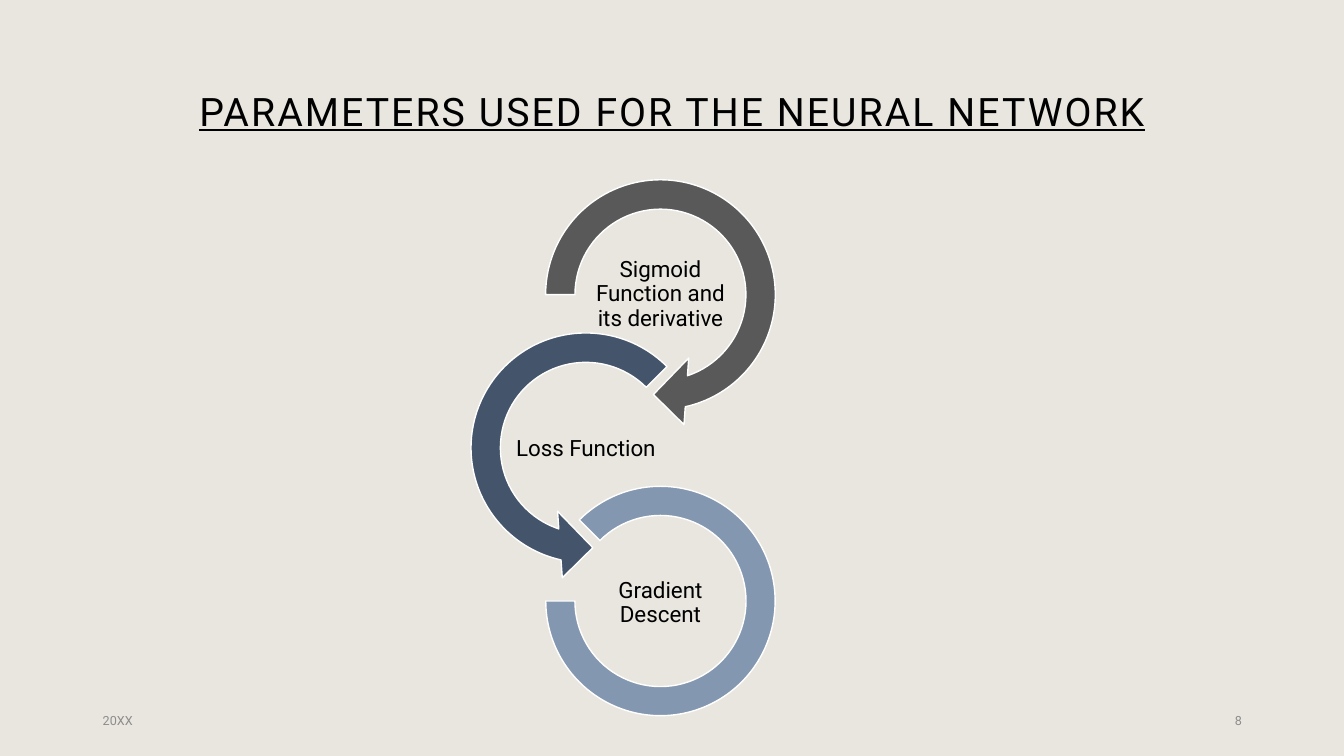
from dataclasses import dataclass

from pptx import Presentation
from pptx.dml.color import RGBColor
from pptx.enum.shapes import MSO_SHAPE
from pptx.enum.text import MSO_ANCHOR, PP_ALIGN
from pptx.util import Cm, Pt

LEFT, CENTER, RIGHT = PP_ALIGN.LEFT, PP_ALIGN.CENTER, PP_ALIGN.RIGHT
MIDDLE = MSO_ANCHOR.MIDDLE


@dataclass(frozen=True)
class Theme:
    font: str = "Roboto"
    background: str = "E9E6DF"
    text: str = "000000"
    footer: str = "8C8C8C"
    outline: str = "FFFFFF"
    title_size: int = 28
    label_size: int = 16
    footer_size: int = 9


THEME = Theme()

# Label, preset shape, adjustments, fill, diameter in cm
STEPS = [
    ("Sigmoid Function and its derivative", MSO_SHAPE.CIRCULAR_ARROW,
     (0.11, 11.423, 45, 108, 0.125), "595959", 6.73),
    ("Loss Function", MSO_SHAPE.LEFT_CIRCULAR_ARROW,
     (0.11, 11.423, 63, 189, 0.125), "44546A", 6.73),
    ("Gradient Descent", MSO_SHAPE.BLOCK_ARC,
     (135, 108, 0.127), "8497B0", 5.78),
]


def color(value):
    return RGBColor.from_string(value)


def add_text(shapes, box, text, size, text_color, align, inset=None):
    """Add a vertically centred text box; box is left, top, width, height in cm."""
    text_box = shapes.add_textbox(*(Cm(length) for length in box))
    frame = text_box.text_frame
    frame.word_wrap = True
    frame.vertical_anchor = MIDDLE
    if inset is not None:
        frame.margin_left = frame.margin_right = Cm(inset)
        frame.margin_top = frame.margin_bottom = Cm(inset)
    frame.text = text
    paragraph = frame.paragraphs[0]
    paragraph.alignment = align
    font = paragraph.runs[0].font
    font.name = THEME.font
    font.size = Pt(size)
    font.color.rgb = color(text_color)
    return paragraph


def add_title(slide, box):
    paragraph = add_text(slide.shapes, box, "PARAMETERS USED FOR THE NEURAL NETWORK",
                         THEME.title_size, THEME.text, CENTER)
    paragraph.line_spacing = 0.9
    run = paragraph.runs[0]
    run.font.underline = True
    run.font._element.set("spc", "150")  # letter spacing of 1.5 pt


def add_process(slide, box):
    """Stack the ring steps in the box, alternating right and left."""
    left, top, width, _ = box
    radius = STEPS[0][4] / 2
    ring_pitch, label_pitch = 3.86, 3.89
    label_width, label_height = 3.73, 1.88
    group = slide.shapes.add_group_shape()
    for index, (label, preset, adjustments, fill, diameter) in enumerate(STEPS):
        center_x = left + radius if index % 2 else left + width - radius
        center_y = top + radius + index * ring_pitch
        ring = group.shapes.add_shape(
            preset, Cm(center_x - diameter / 2), Cm(center_y - diameter / 2),
            Cm(diameter), Cm(diameter))
        for position, value in enumerate(adjustments):
            ring.adjustments[position] = value
        ring.shadow.inherit = False
        ring.fill.solid()
        ring.fill.fore_color.rgb = color(fill)
        ring.line.color.rgb = color(THEME.outline)
        ring.line.width = Pt(1)

        label_y = top + radius + index * label_pitch
        label_box = (center_x - label_width / 2, label_y - label_height / 2,
                     label_width, label_height)
        paragraph = add_text(group.shapes, label_box, label, THEME.label_size,
                             THEME.text, CENTER, inset=0.03)
        paragraph.line_spacing = 0.9


def add_footer(slide, box):
    left, top, width, height = box
    item_width = 7.62
    items = [("20XX", left, LEFT), ("8", left + width - item_width, RIGHT)]
    for text, item_left, align in items:
        add_text(slide.shapes, (item_left, top, item_width, height), text,
                 THEME.footer_size, THEME.footer, align)


def main():
    presentation = Presentation()
    presentation.slide_width = Cm(33.87)
    presentation.slide_height = Cm(19.05)
    slide = presentation.slides.add_slide(presentation.slide_layouts[6])
    slide.background.fill.solid()
    slide.background.fill.fore_color.rgb = color(THEME.background)

    add_title(slide, (2.34, 1.02, 29.21, 3.68))
    add_footer(slide, (2.34, 17.65, 29.21, 1.02))
    add_process(slide, (11.4, 4.06, 8.61, 13.97))
    presentation.save("out.pptx")


if __name__ == "__main__":
    main()
